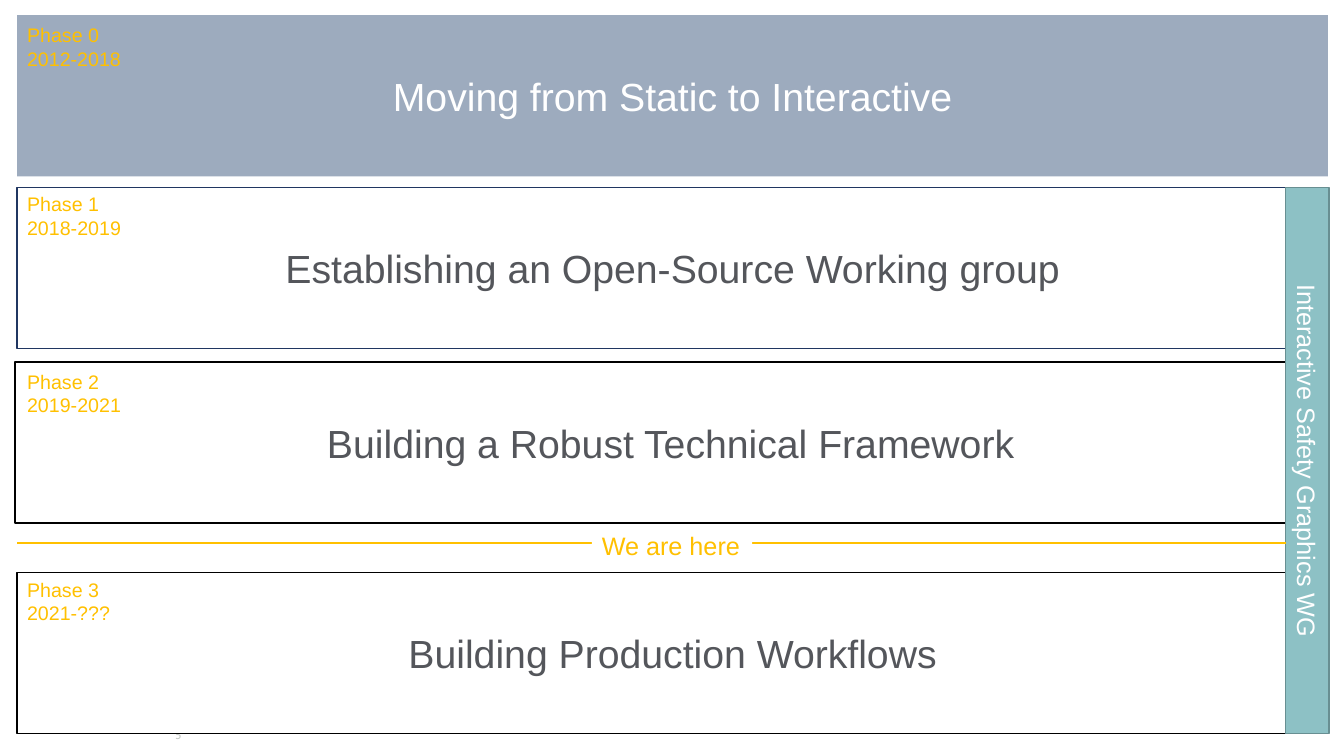
from dataclasses import dataclass

from lxml import etree
from pptx import Presentation
from pptx.dml.color import RGBColor
from pptx.enum.shapes import MSO_CONNECTOR, MSO_SHAPE
from pptx.enum.text import MSO_ANCHOR, MSO_AUTO_SIZE, PP_ALIGN
from pptx.oxml.ns import qn
from pptx.util import Inches, Pt

RECTANGLE = MSO_SHAPE.RECTANGLE
STRAIGHT = MSO_CONNECTOR.STRAIGHT
TOP, MIDDLE = MSO_ANCHOR.TOP, MSO_ANCHOR.MIDDLE
LEFT, CENTER = PP_ALIGN.LEFT, PP_ALIGN.CENTER
GROW = MSO_AUTO_SIZE.SHAPE_TO_FIT_TEXT


@dataclass(frozen=True)
class Theme:
    white: str = "FFFFFF"
    black: str = "000000"
    navy: str = "203661"
    slate: str = "3C587F"
    gray: str = "54565B"
    pale: str = "C6CAC6"
    gold: str = "FFC000"
    teal: str = "8DC1C5"
    teal_edge: str = "688F92"
    font: str = "Arial"
    number_font: str = "Cabin"
    headline: int = 28
    label: int = 18
    phase: int = 14
    number: int = 8


THEME = Theme()

PHASES = [
    {"lines": ["Phase 0", "2012-2018"], "headline": "Moving from Static to Interactive",
     "left": 0.17, "top": 0.15, "label_top": 0.18, "label_width": 3.37,
     "fill": THEME.slate, "opacity": 50, "edge": None, "color": THEME.white},
    {"lines": ["Phase 1", "2018-2019"], "headline": "Establishing an Open-Source Working group",
     "left": 0.17, "top": 1.86, "label_top": 1.86, "label_width": 1.19,
     "fill": THEME.white, "opacity": 100, "edge": THEME.navy, "color": THEME.gray},
    {"lines": ["Phase 2", "2019-2021"], "headline": "Building a Robust Technical Framework",
     "left": 0.15, "top": 3.59, "label_top": 3.62, "label_width": 1.19,
     "fill": THEME.white, "opacity": 100, "edge": THEME.black, "color": THEME.gray},
    {"lines": ["Phase 3", "2021-???"], "headline": "Building Production Workflows",
     "left": 0.17, "top": 5.68, "label_top": 5.68, "label_width": 1.04,
     "fill": THEME.white, "opacity": 100, "edge": THEME.black, "color": THEME.gray},
]
GROUP_NAME = "Interactive Safety Graphics WG"
MARKER = "We are here"
SLIDE_NUMBER = "5"

MARGIN = 0.17
BAND_WIDTH, BAND_HEIGHT = 13, 1.6
SIDEBAR_LEFT, SIDEBAR_WIDTH = 12.75, 0.43
MARKER_LINE = 5.39


def write(shape, lines, size, color, font=THEME.font, align=LEFT, anchor=TOP,
          wrap=True, grow=False):
    frame = shape.text_frame
    frame.word_wrap = wrap
    frame.vertical_anchor = anchor
    if grow:
        frame.auto_size = GROW
    for index, line in enumerate(lines):
        para = frame.add_paragraph() if index else frame.paragraphs[0]
        para.alignment = align
        span = para.add_run()
        span.text = line
        span.font.name = font
        span.font.size = Pt(size)
        span.font.color.rgb = RGBColor.from_string(color)


def add_box(page, left, top, width, height, fill, edge=None, opacity=100):
    box = page.shapes.add_shape(
        RECTANGLE, Inches(left), Inches(top), Inches(width), Inches(height))
    box.shadow.inherit = False
    box.fill.solid()
    box.fill.fore_color.rgb = RGBColor.from_string(fill)
    if opacity < 100:
        shade = box.fill._xPr.find(qn("a:solidFill"))[0]
        etree.SubElement(shade, qn("a:alpha"), val=str(opacity * 1000))
    if edge:
        box.line.color.rgb = RGBColor.from_string(edge)
        box.line.width = Pt(1)
    else:
        box.line.fill.background()
    return box


def add_label(page, left, top, width, height):
    return page.shapes.add_textbox(
        Inches(left), Inches(top), Inches(width), Inches(height))


def add_sidebar(page):
    top = PHASES[1]["top"]
    length = PHASES[-1]["top"] + BAND_HEIGHT - top
    center_x = SIDEBAR_LEFT + SIDEBAR_WIDTH / 2
    center_y = top + length / 2
    sidebar = add_box(page, center_x - length / 2, center_y - SIDEBAR_WIDTH / 2,
                      length, SIDEBAR_WIDTH, THEME.teal, THEME.teal_edge)
    sidebar.rotation = 90
    write(sidebar, [GROUP_NAME], THEME.label, THEME.white, align=CENTER, anchor=MIDDLE)


def add_marker(page):
    line = page.shapes.add_connector(
        STRAIGHT, Inches(MARGIN), Inches(MARKER_LINE),
        Inches(SIDEBAR_LEFT), Inches(MARKER_LINE))
    line.line.color.rgb = RGBColor.from_string(THEME.gold)
    line.line.width = Pt(1.5)
    etree.SubElement(line._element.spPr, qn("a:effectLst"))
    marker = add_box(page, 5.87, 5.21, 1.59, 0.4, THEME.white)
    write(marker, [MARKER], THEME.label, THEME.gold, wrap=False, grow=True)


def main():
    deck = Presentation()
    deck.slide_width, deck.slide_height = Inches(13.33), Inches(7.5)
    page = deck.slides.add_slide(deck.slide_layouts[6])

    number = add_label(page, 1.64, 7.13, 3, 0.32)
    write(number, [SLIDE_NUMBER], THEME.number, THEME.pale,
          font=THEME.number_font, anchor=MIDDLE)

    for phase in PHASES:
        band = add_box(page, phase["left"], phase["top"], BAND_WIDTH, BAND_HEIGHT,
                       phase["fill"], phase["edge"], phase["opacity"])
        write(band, [phase["headline"]], THEME.headline, phase["color"],
              align=CENTER, anchor=MIDDLE)
    for phase in PHASES:
        label = add_label(page, MARGIN, phase["label_top"], phase["label_width"], 0.57)
        write(label, phase["lines"], THEME.phase, THEME.gold, grow=True)

    add_sidebar(page)
    add_marker(page)
    deck.save("out.pptx")


if __name__ == "__main__":
    main()
